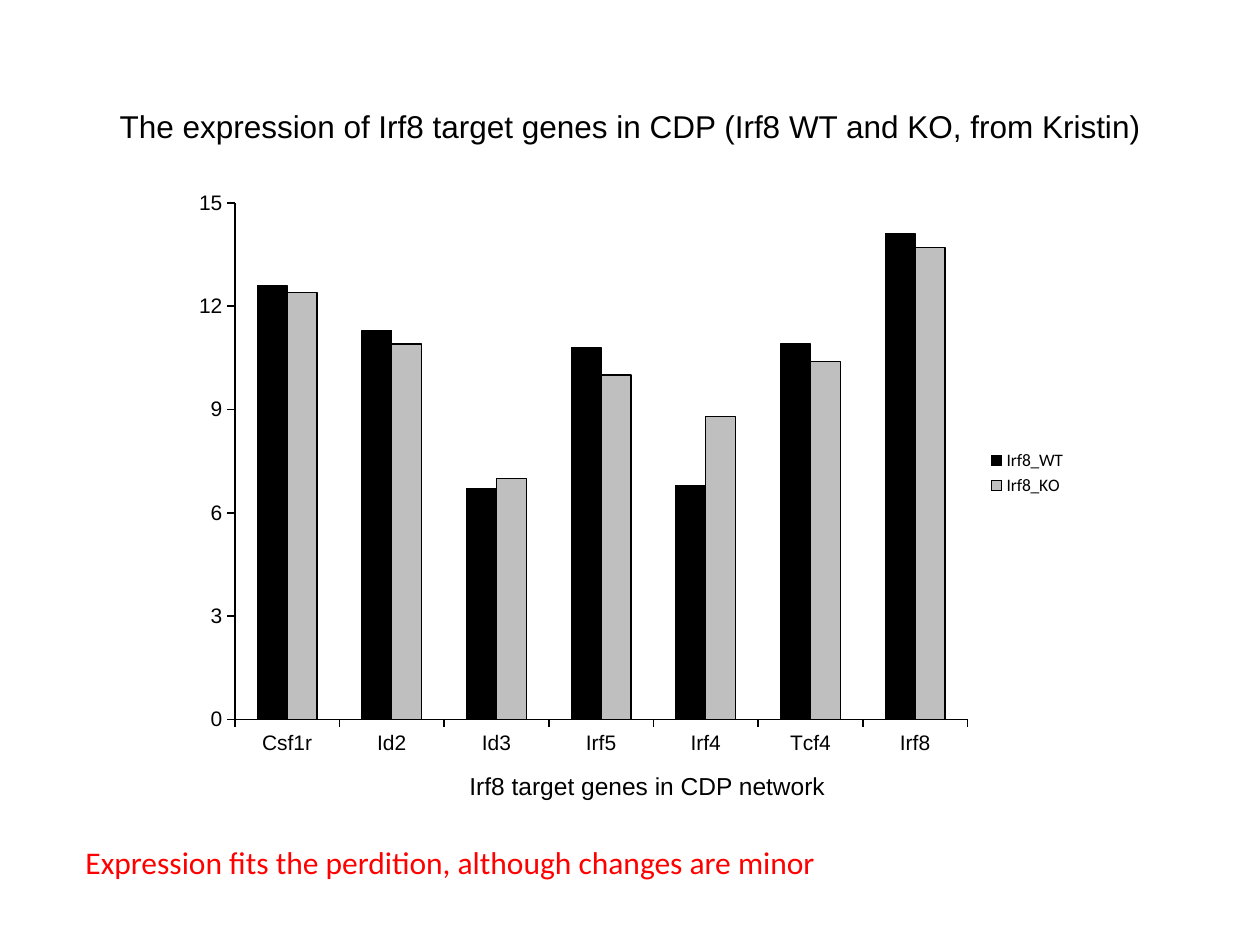
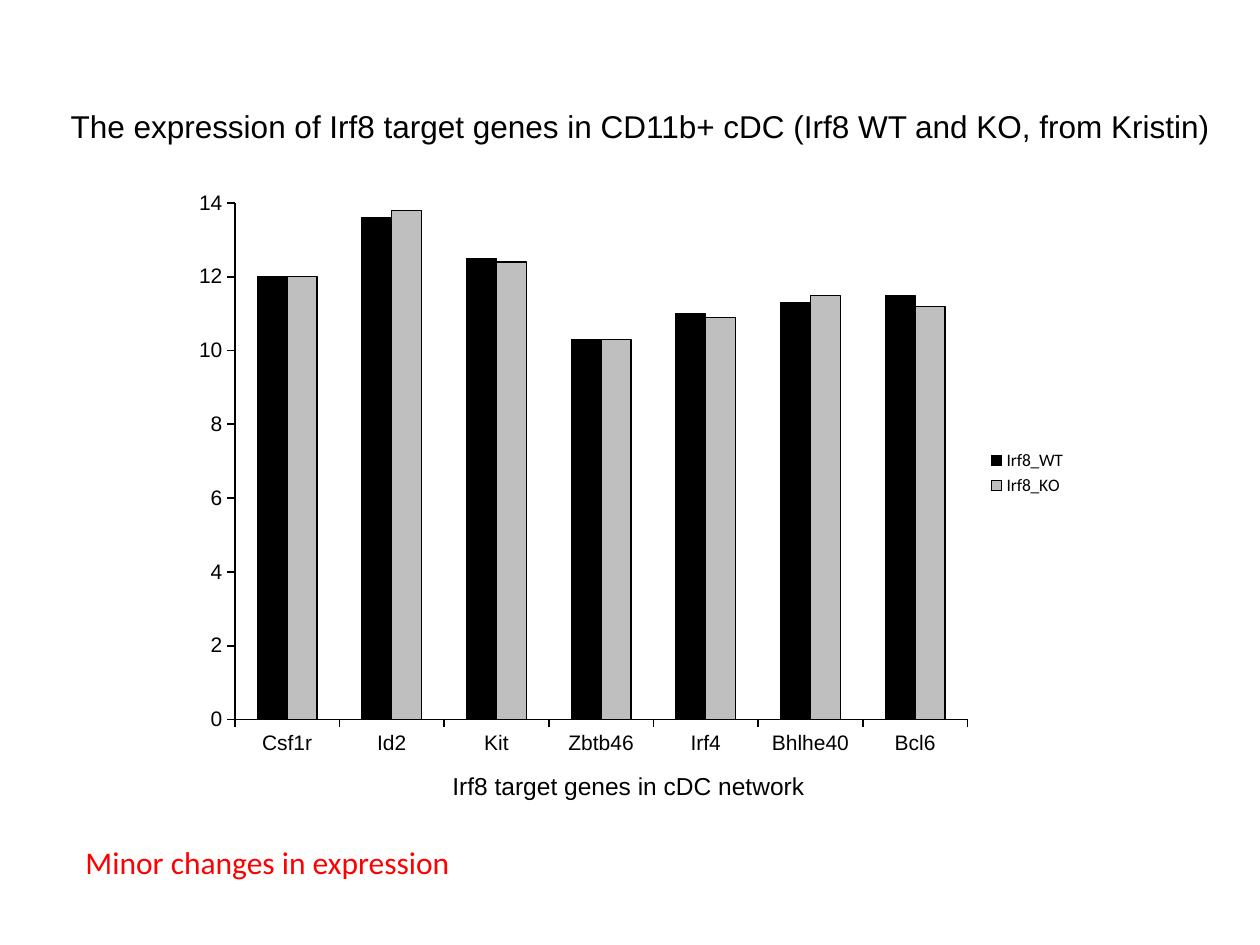
from pptx import Presentation
from pptx.chart.data import CategoryChartData
from pptx.dml.color import RGBColor
from pptx.enum.chart import XL_CHART_TYPE as ChartType, XL_LEGEND_POSITION as LegendPos
from pptx.enum.chart import XL_TICK_MARK as TickMark
from pptx.enum.text import MSO_ANCHOR as Anchor, MSO_AUTO_SIZE as AutoSize, PP_ALIGN as Align
from pptx.util import Emu, Pt

PX_PER_INCH = 126
BLACK = RGBColor(0x00, 0x00, 0x00)
GRAY = RGBColor(0xBF, 0xBF, 0xBF)
RED = RGBColor(0xFF, 0x00, 0x00)
HEADING_FONT = "Arial"
BODY_FONT = "Calibri"
SERIES_COLORS = {"Irf8_WT": BLACK, "Irf8_KO": GRAY}


def px(n):
    return Emu(round(n * 914400 / PX_PER_INCH))


def set_font(font, name, size, color=BLACK):
    font.name = name
    font.size = Pt(size)
    font.color.rgb = color


def set_line(line, width):
    line.color.rgb = BLACK
    line.width = Pt(width)


def write_text(s, text, name, size, color=BLACK):
    tf = s.text_frame
    tf.text = text
    tf.word_wrap = False
    tf.auto_size = AutoSize.SHAPE_TO_FIT_TEXT
    tf.vertical_anchor = Anchor.TOP
    p = tf.paragraphs[0]
    p.alignment = Align.LEFT
    set_font(p.runs[0].font, name, size, color)


def add_title(slide, text, left, width):
    s = slide.shapes.title
    s.left, s.top, s.width, s.height = px(left), px(101), px(width), px(51)
    write_text(s, text, HEADING_FONT, 18)


def add_axis_caption(slide, text, left, width):
    s = slide.shapes.add_textbox(px(left), px(765), px(width), px(43))
    write_text(s, text, HEADING_FONT, 14)


def add_conclusion(slide, text, width):
    s = slide.shapes.add_textbox(px(73), px(837), px(width), px(51))
    write_text(s, text, BODY_FONT, 18, RED)


def style_axis(axis):
    axis.has_major_gridlines = False
    axis.major_tick_mark = TickMark.OUTSIDE
    axis.minor_tick_mark = TickMark.NONE
    set_line(axis.format.line, 1)
    set_font(axis.tick_labels.font, HEADING_FONT, 12)


def add_expression_chart(slide, genes, wild_type, knockout, top_value, step):
    data = CategoryChartData(number_format="0.0")
    data.categories = genes
    for name, values in zip(SERIES_COLORS, (wild_type, knockout)):
        data.add_series(name, values)
    frame = slide.shapes.add_chart(
        ChartType.COLUMN_CLUSTERED, px(181), px(180), px(898), px(586), data)
    chart = frame.chart
    chart.has_title = False
    set_font(chart.font, BODY_FONT, 10)

    chart.has_legend = True
    chart.legend.position = LegendPos.RIGHT
    chart.legend.include_in_layout = False

    style_axis(chart.category_axis)
    style_axis(chart.value_axis)
    axis = chart.value_axis
    axis.minimum_scale = 0
    axis.maximum_scale = top_value
    axis.major_unit = step
    axis.tick_labels.number_format = "0"
    axis.tick_labels.number_format_is_linked = False

    plot = chart.plots[0]
    plot.gap_width = 150
    plot.overlap = 0
    plot.vary_by_categories = False
    for series in plot.series:
        series.invert_if_negative = False
        series.format.fill.solid()
        series.format.fill.fore_color.rgb = SERIES_COLORS[series.name]
        set_line(series.format.line, 0.75)


def add_title_slide(prs):
    return prs.slides.add_slide(prs.slide_layouts.get_by_name("Title Only"))


def build_cdp_slide(prs):
    slide = add_title_slide(prs)
    add_title(slide, "The expression of Irf8 target genes in CDP "
              "(Irf8 WT and KO, from Kristin)", 107, 1048)
    add_axis_caption(slide, "Irf8 target genes in CDP network", 457, 386)
    add_conclusion(slide, "Expression fits the perdition, although changes are minor", 764)
    add_expression_chart(
        slide,
        ["Csf1r", "Id2", "Id3", "Irf5", "Irf4", "Tcf4", "Irf8"],
        [12.6, 11.3, 6.7, 10.8, 6.8, 10.9, 14.1],
        [12.4, 10.9, 7, 10, 8.8, 10.4, 13.7],
        top_value=15, step=3)


def build_cdc_slide(prs):
    slide = add_title_slide(prs)
    add_title(slide, "The expression of Irf8 target genes in CD11b+ cDC "
              "(Irf8 WT and KO, from Kristin)", 58, 1176)
    add_axis_caption(slide, "Irf8 target genes in cDC network", 440, 382)
    add_expression_chart(
        slide,
        ["Csf1r", "Id2", "Kit", "Zbtb46", "Irf4", "Bhlhe40", "Bcl6"],
        [12, 13.6, 12.5, 10.3, 11, 11.3, 11.5],
        [12, 13.8, 12.4, 10.3, 10.9, 11.5, 11.2],
        top_value=14, step=2)
    add_conclusion(slide, "Minor changes in expression", 394)


def main():
    prs = Presentation()
    prs.slide_width, prs.slide_height = px(1260), px(945)
    build_cdp_slide(prs)
    build_cdc_slide(prs)
    prs.save("out.pptx")


if __name__ == "__main__":
    main()
